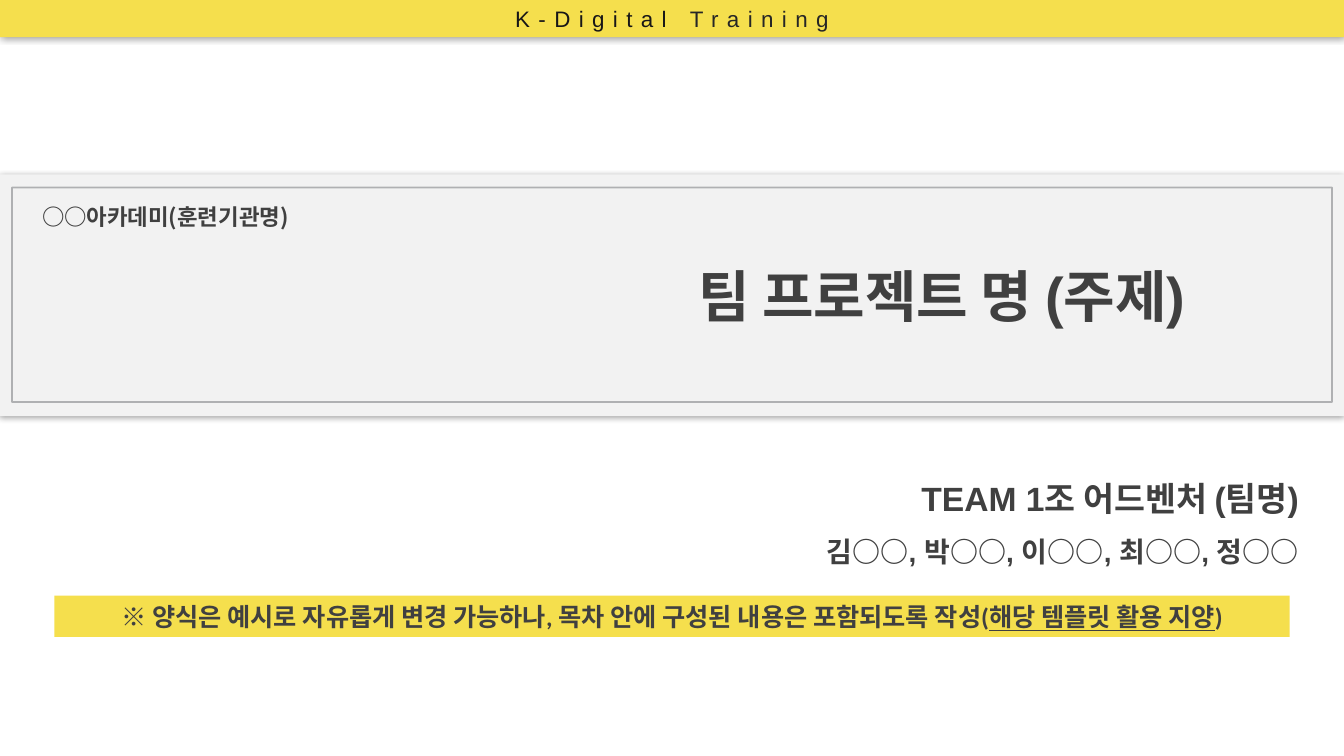
from pptx import Presentation
from pptx.dml.color import RGBColor
from pptx.enum.shapes import MSO_SHAPE as Shape
from pptx.enum.text import MSO_ANCHOR as Anchor, MSO_AUTO_SIZE as Fit, PP_ALIGN as Align
from pptx.oxml import parse_xml
from pptx.oxml.ns import nsdecls, qn
from pptx.util import Inches, Pt
from lxml import etree

WIDTH, HEIGHT = 13.33, 7.5
KOREAN = "Noto Sans CJK KR"
COLORS = {"yellow": "F5DF4D", "panel": "F2F2F2", "frame": "939597",
          "text": "404040", "black": "181717", "dark": "262626"}


def add_box(left, top, width, height, fill=None, shadow=False):
    box = page.shapes.add_shape(Shape.RECTANGLE, *map(Inches, (left, top, width, height)))
    box.shadow.inherit = False
    box.line.fill.background()
    if fill:
        box.fill.solid()
        box.fill.fore_color.rgb = RGBColor.from_string(COLORS[fill])
    else:
        box.fill.background()
    if shadow:
        effects = box._element.spPr.find(qn("a:effectLst"))
        effects.append(parse_xml(
            f'<a:outerShdw {nsdecls("a")} blurRad="{Pt(5)}" dist="0" dir="0" algn="ctr" rotWithShape="0">'
            '<a:srgbClr val="000000"><a:alpha val="40000"/></a:srgbClr></a:outerShdw>'))
    return box


def write(para, text, size, font="Arial", color="text", bold=True,
          underline=None, spacing=None, align=Align.CENTER):
    para.alignment = align
    span = para.add_run()
    span.text = text
    span.font.size, span.font.name = Pt(size), font
    span.font.bold, span.font.underline = bold, underline
    span.font.color.rgb = RGBColor.from_string(COLORS[color])
    props = span.font._element
    etree.SubElement(props, qn("a:ea")).set("typeface", KOREAN)
    if spacing:
        props.set("spc", str(spacing * 100))


deck = Presentation()
deck.slide_width, deck.slide_height = Inches(WIDTH), Inches(HEIGHT)
page = deck.slides.add_slide(deck.slide_layouts[5])

# Team name and members
team = page.shapes.add_textbox(*map(Inches, (7.34, 4.54, 5.64, 1.11))).text_frame
team.word_wrap = True
team.margin_top = team.margin_bottom = 0
team_lines = [("TEAM 1조 어드벤처 (팀명)", 24), ("김○○, 박○○, 이○○, 최○○, 정○○", 20)]
for index, (text, size) in enumerate(team_lines):
    para = team.add_paragraph() if index else team.paragraphs[0]
    para.line_spacing = 1.5
    write(para, text, size, align=Align.RIGHT)

# Note strip
note = add_box((WIDTH - 12.25) / 2, 5.91, 12.25, 0.41, "yellow").text_frame
note.vertical_anchor = Anchor.MIDDLE
for text, underline in [
    ("※ 양식은 예시로 자유롭게 변경 가능하나, 목차 안에 구성된 내용은 포함되도록 작성(", None),
    ("해당 템플릿 활용 지양", True),
    (")", None),
]:
    write(note.paragraphs[0], text, 18, font="Calibri", underline=underline)

# Title panel with the academy name
add_box(0, 1.73, WIDTH, 2.4, "panel", shadow=True)
academy = page.shapes.add_textbox(*map(Inches, (0.2, 1.97, 2.88, 0.37))).text_frame
academy.word_wrap = False
write(academy.paragraphs[0], "○○아카데미(훈련기관명)", 16, font=KOREAN)

# Title, brought in front of the panel
title = page.shapes.title
title.left, title.top, title.width, title.height = map(Inches, (5.64, 2.59, 7.4, 0.67))
title.text_frame.auto_size = Fit.NONE
title.text_frame.word_wrap = True
title.text_frame.vertical_anchor = Anchor.TOP
title.text_frame.margin_top = title.text_frame.margin_bottom = 0
write(title.text_frame.paragraphs[0], "팀 프로젝트 명 (주제)", 40)
page.shapes._spTree.append(title._element)

# Header band
header = add_box(0, 0, WIDTH, 0.37, "yellow", shadow=True).text_frame
header.vertical_anchor = Anchor.MIDDLE
for text, color in [("K-Digital ", "black"), ("Training", "dark")]:
    write(header.paragraphs[0], text, 16, color=color, bold=False, spacing=6)

# Frame inside the panel
frame = add_box(0.12, 1.86, WIDTH - 2 * 0.12, 2.13)
frame.line.color.rgb = RGBColor.from_string(COLORS["frame"])
frame.line.width = Pt(1.25)
line_color = frame.line._ln.find(".//" + qn("a:srgbClr"))
etree.SubElement(line_color, qn("a:alpha")).set("val", "70000")

deck.save("out.pptx")
